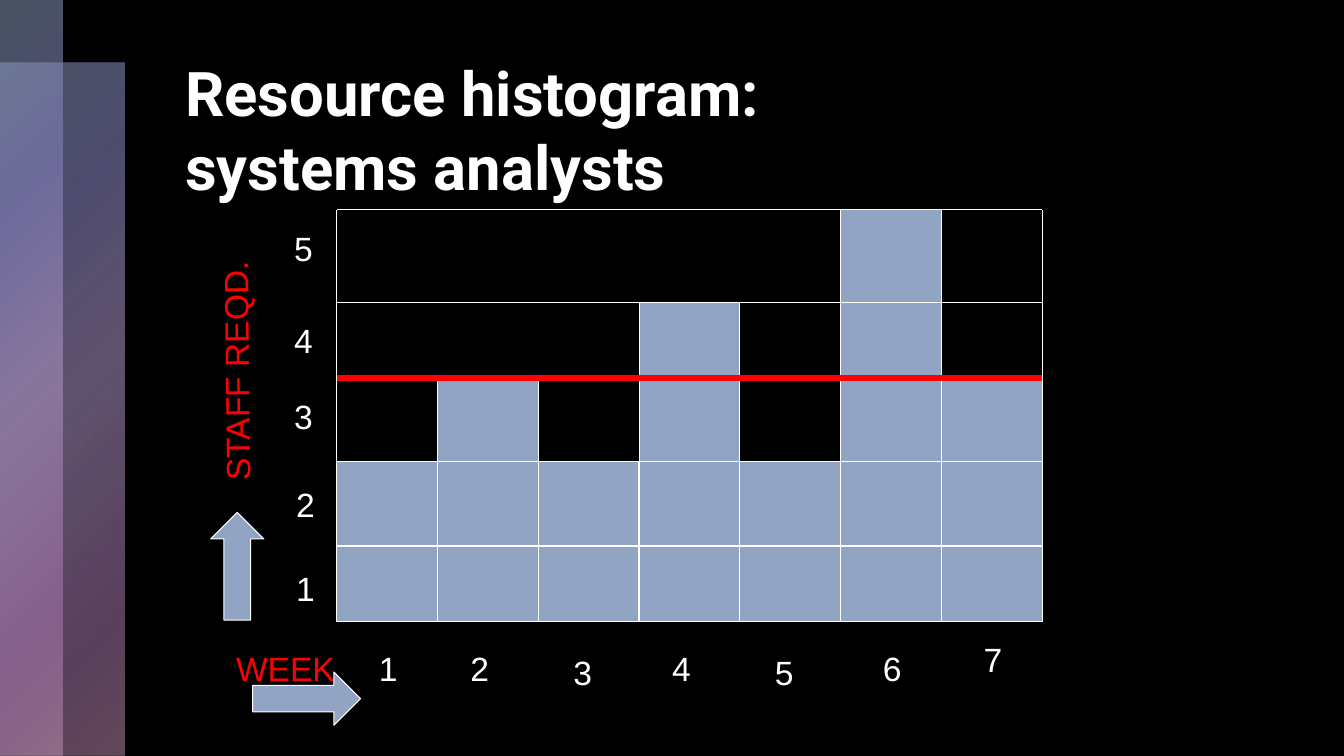
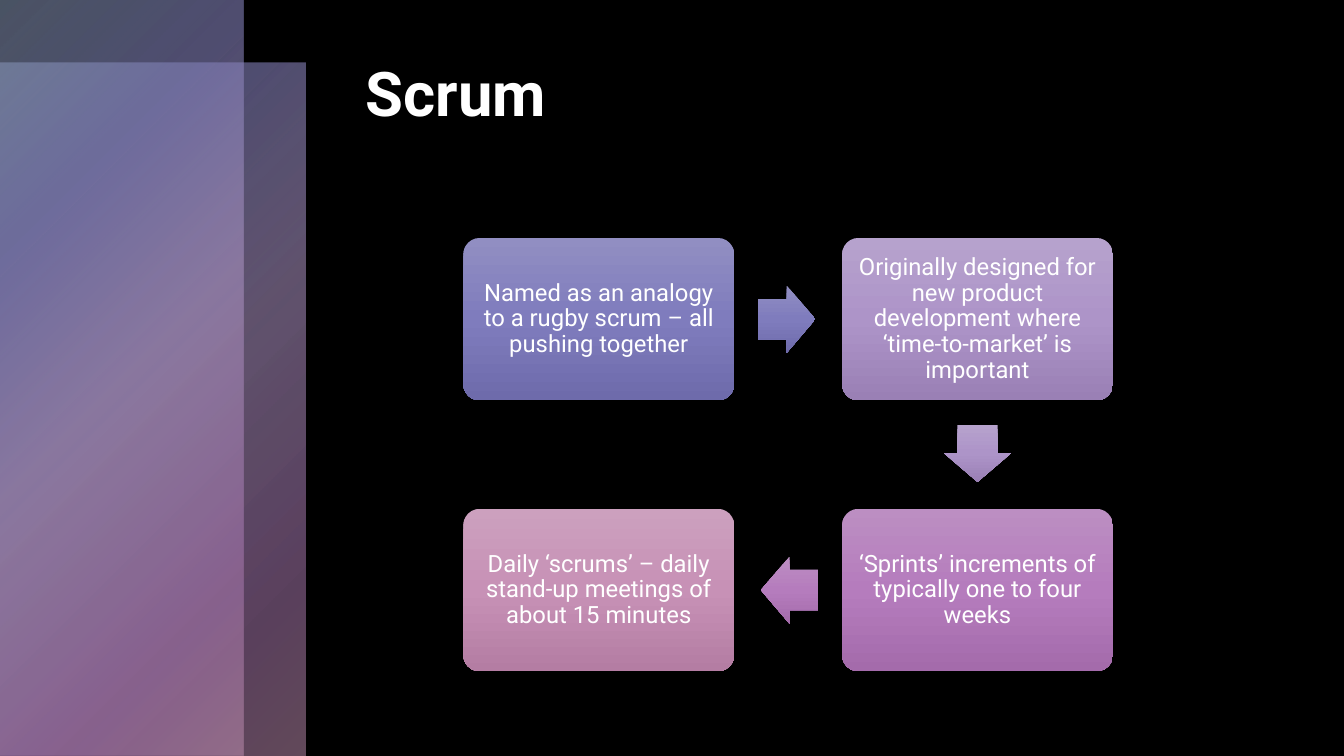
import pptx
import pptx.dml.color
import pptx.enum.shapes
import pptx.enum.text
import pptx.oxml
import pptx.oxml.ns
import pptx.util

Pt = pptx.util.Pt
SHAPES = pptx.enum.shapes.MSO_SHAPE
ALIGN = pptx.enum.text.PP_ALIGN
ANCHOR = pptx.enum.text.MSO_ANCHOR

# Shared look
WIDTH, HEIGHT = 960, 540
COLORS = {"background": "000000", "text": "FFFFFF", "bar": "92A4C4", "accent": "FF0000"}
HEADING_FONT, LABEL_FONT = "Roboto", "Arial"
TITLE_SIZE, LABEL_SIZE, STEP_SIZE = 44, 24, 17
TITLE_TOP, TITLE_HEIGHT, TITLE_RIGHT = 36, 122.4, 872
TITLE_GAP = 36
BAND_TOP, BAND_STEP = 44.6, 44.6
# Position, colour, opacity in percent
BAND_STOPS = [(0, "92A4C4", 50), (25, "827FBA", 60), (50, "AD96C6", 55),
              (81, "B37FBA", 50), (99, "C593B5", 50)]
BAND_PATH = '<a:path path="circle"><a:fillToRect r="100000" b="100000"/></a:path>'
DOWNWARD = '<a:lin ang="5400000" scaled="0"/>'

# Histogram content: staff needed in each week, and the height of each staff level
HISTOGRAM_TITLE = ["Resource histogram:", "systems analysts"]
STAFF_BY_WEEK = [2, 3, 2, 4, 2, 5, 3]
LEVELS = [444, 390, 330, 270, 216, 150]
GRID_LEFT, WEEK_WIDTH = 240.5, 72
STAFF_LIMIT = 3
WEEK_LABELS = [(263.5, 459), (329, 459), (402.5, 462), (473, 459),
               (546.5, 462), (623.5, 459), (695.5, 453)]
STAFF_LABELS = [(204.5, 402), (204.5, 342), (203, 279), (203, 225), (203, 159)]
LABEL_WIDTH, LABEL_HEIGHT = 28, 36
AXIS_TITLES = [("WEEK", 161.5, 459, 85, 0), ("STAFF REQD.", 82, 246, 173, 269.4)]
AXIS_ARROWS = [(SHAPES.RIGHT_ARROW, (180.5, 480, 77, 38)),
               (SHAPES.UP_ARROW, (150.5, 366, 38, 77))]

# Scrum content: column, row, text, colours from top to bottom
SCRUM_TITLE = ["Scrum"]
STEPS = [
    (0, 0, "Named as an analogy to a rugby scrum – all pushing together",
     ("918EC2", "7F7CBD", "6E6BAB")),
    (1, 0, "Originally designed for new product development where ‘time-to-market’ is important",
     ("B6A2CD", "AD94C8", "9A80B5")),
    (1, 1, "‘Sprints’ increments of typically one to four weeks",
     ("BC8EC2", "B57CBD", "A46BAB")),
    (0, 1, "Daily ‘scrums’ – daily stand-up meetings of about 15 minutes",
     ("CCA0BE", "C791B6", "B47DA3")),
]
STEP_LEFT, STEP_TOP, STEP_WIDTH, STEP_HEIGHT = 331, 170, 193.5, 116
COLUMN_PITCH, ROW_PITCH = 270.5, 193.5
ARROW_LENGTH, ARROW_BREADTH = 41, 48
ARROW_PULL = 1  # arrows sit slightly nearer the step they leave
ARROWS = {(1, 0): SHAPES.RIGHT_ARROW, (0, 1): SHAPES.DOWN_ARROW, (-1, 0): SHAPES.LEFT_ARROW}


def rgb(name):
    return pptx.dml.color.RGBColor.from_string(COLORS[name])


def add_run(paragraph, text, size, font, color="text", bold=False):
    run = paragraph.add_run()
    run.text = text
    run.font.size = Pt(size)
    run.font.name = font
    run.font.bold = bold
    run.font.color.rgb = rgb(color)


def add_shape(slide, kind, box, adjustments=()):
    shape = slide.shapes.add_shape(kind, *map(Pt, box))
    shape.shadow.inherit = False
    for index, value in enumerate(adjustments):
        shape.adjustments[index] = value
    return shape


def add_outlined(slide, kind, box):
    shape = add_shape(slide, kind, box)
    shape.fill.solid()
    shape.fill.fore_color.rgb = rgb("bar")
    shape.line.color.rgb = rgb("text")
    shape.line.width = Pt(0.75)


def add_gradient(slide, kind, box, stops, direction, adjustments=()):
    shape = add_shape(slide, kind, box, adjustments)
    shape.line.fill.background()
    stop_xml = "".join(
        f'<a:gs pos="{position * 1000}"><a:srgbClr val="{color}">'
        f'<a:alpha val="{opacity * 1000}"/></a:srgbClr></a:gs>'
        for position, color, opacity in stops)
    gradient = pptx.oxml.parse_xml(
        f'<a:gradFill {pptx.oxml.ns.nsdecls("a")} rotWithShape="1">'
        f"<a:gsLst>{stop_xml}</a:gsLst>{direction}</a:gradFill>")
    shape._element.spPr.insert(2, gradient)  # after position and outline
    return shape


def add_line(slide, start, end, color="text", width=0.75):
    line = slide.shapes.add_connector(
        pptx.enum.shapes.MSO_CONNECTOR.STRAIGHT, *map(Pt, start + end))
    line.line.color.rgb = rgb(color)
    line.line.width = Pt(width)
    line._element.spPr.append(
        pptx.oxml.parse_xml(f'<a:effectLst {pptx.oxml.ns.nsdecls("a")}/>'))


def add_label(slide, text, box, color="text", rotation=0):
    label = slide.shapes.add_textbox(*map(Pt, box))
    label.rotation = rotation
    label.text_frame.word_wrap = False
    label.text_frame.auto_size = pptx.enum.text.MSO_AUTO_SIZE.SHAPE_TO_FIT_TEXT
    add_run(label.text_frame.paragraphs[0], text, LABEL_SIZE, LABEL_FONT, color)


def start_slide(presentation, title_lines, band_width):
    slide = presentation.slides.add_slide(presentation.slide_layouts[6])
    slide.background.fill.solid()
    slide.background.fill.fore_color.rgb = rgb("background")
    # Two overlapping translucent bands
    for box in [(0, BAND_TOP, band_width, HEIGHT - BAND_TOP),
                (0, 0, band_width - BAND_STEP, HEIGHT)]:
        add_gradient(slide, SHAPES.RECTANGLE, box, BAND_STOPS, BAND_PATH)
    # Title
    left = band_width + TITLE_GAP
    title = slide.shapes.add_textbox(
        Pt(left), Pt(TITLE_TOP), Pt(TITLE_RIGHT - left), Pt(TITLE_HEIGHT))
    title.text_frame.word_wrap = True
    paragraph = title.text_frame.paragraphs[0]
    for index, line in enumerate(title_lines):
        if index:
            paragraph.add_line_break()
        add_run(paragraph, line, TITLE_SIZE, HEADING_FONT, bold=True)
    return slide


def build_histogram(presentation):
    slide = start_slide(presentation, HISTOGRAM_TITLE, 89.2)
    base, top, limit = LEVELS[0], LEVELS[-1], LEVELS[STAFF_LIMIT]
    right = GRID_LEFT + WEEK_WIDTH * len(STAFF_BY_WEEK)
    # Bars
    for week, staff in enumerate(STAFF_BY_WEEK):
        add_outlined(slide, SHAPES.RECTANGLE,
                     (GRID_LEFT + week * WEEK_WIDTH, LEVELS[staff],
                      WEEK_WIDTH, base - LEVELS[staff]))
    # Grid, frame and staff limit
    for level in LEVELS[1:]:
        if level != limit:
            add_line(slide, (GRID_LEFT, level), (right, level))
    add_line(slide, (GRID_LEFT, LEVELS[2]), (GRID_LEFT, top))
    add_line(slide, (right, limit), (right, top))
    add_line(slide, (GRID_LEFT, limit), (right, limit), "accent", 4.5)
    # Axis numbers, titles and arrows
    for labels in (WEEK_LABELS, STAFF_LABELS):
        for number, position in enumerate(labels, 1):
            add_label(slide, str(number), position + (LABEL_WIDTH, LABEL_HEIGHT))
    for text, left, label_top, width, rotation in AXIS_TITLES:
        add_label(slide, text, (left, label_top, width, LABEL_HEIGHT), "accent", rotation)
    for kind, box in AXIS_ARROWS:
        add_outlined(slide, kind, box)


def build_scrum(presentation):
    slide = start_slide(presentation, SCRUM_TITLE, 218.2)
    for index, (column, row, text, colors) in enumerate(STEPS):
        left = STEP_LEFT + column * COLUMN_PITCH
        top = STEP_TOP + row * ROW_PITCH
        stops = [(position, color, 100) for position, color in zip((0, 50, 100), colors)]
        # Step
        step = add_gradient(slide, SHAPES.ROUNDED_RECTANGLE,
                            (left, top, STEP_WIDTH, STEP_HEIGHT), stops, DOWNWARD, [0.1])
        frame = step.text_frame
        frame.word_wrap = True
        frame.vertical_anchor = ANCHOR.MIDDLE
        frame.margin_left = frame.margin_right = Pt(8)
        frame.margin_top = frame.margin_bottom = Pt(8)
        paragraph = frame.paragraphs[0]
        paragraph.alignment = ALIGN.CENTER
        paragraph.line_spacing = 0.9
        add_run(paragraph, text, STEP_SIZE, HEADING_FONT)
        # Arrow halfway to the next step
        if index + 1 < len(STEPS):
            across, down = STEPS[index + 1][0] - column, STEPS[index + 1][1] - row
            center_x = left + STEP_WIDTH / 2 + across * (COLUMN_PITCH / 2 - ARROW_PULL)
            center_y = top + STEP_HEIGHT / 2 + down * (ROW_PITCH / 2 - ARROW_PULL)
            width, height = ((ARROW_LENGTH, ARROW_BREADTH) if across
                             else (ARROW_BREADTH, ARROW_LENGTH))
            add_gradient(slide, ARROWS[across, down],
                         (center_x - width / 2, center_y - height / 2, width, height),
                         stops, DOWNWARD, [0.6, 0.5])


def main():
    presentation = pptx.Presentation()
    presentation.slide_width, presentation.slide_height = Pt(WIDTH), Pt(HEIGHT)
    build_histogram(presentation)
    build_scrum(presentation)
    presentation.save("out.pptx")


if __name__ == "__main__":
    main()
